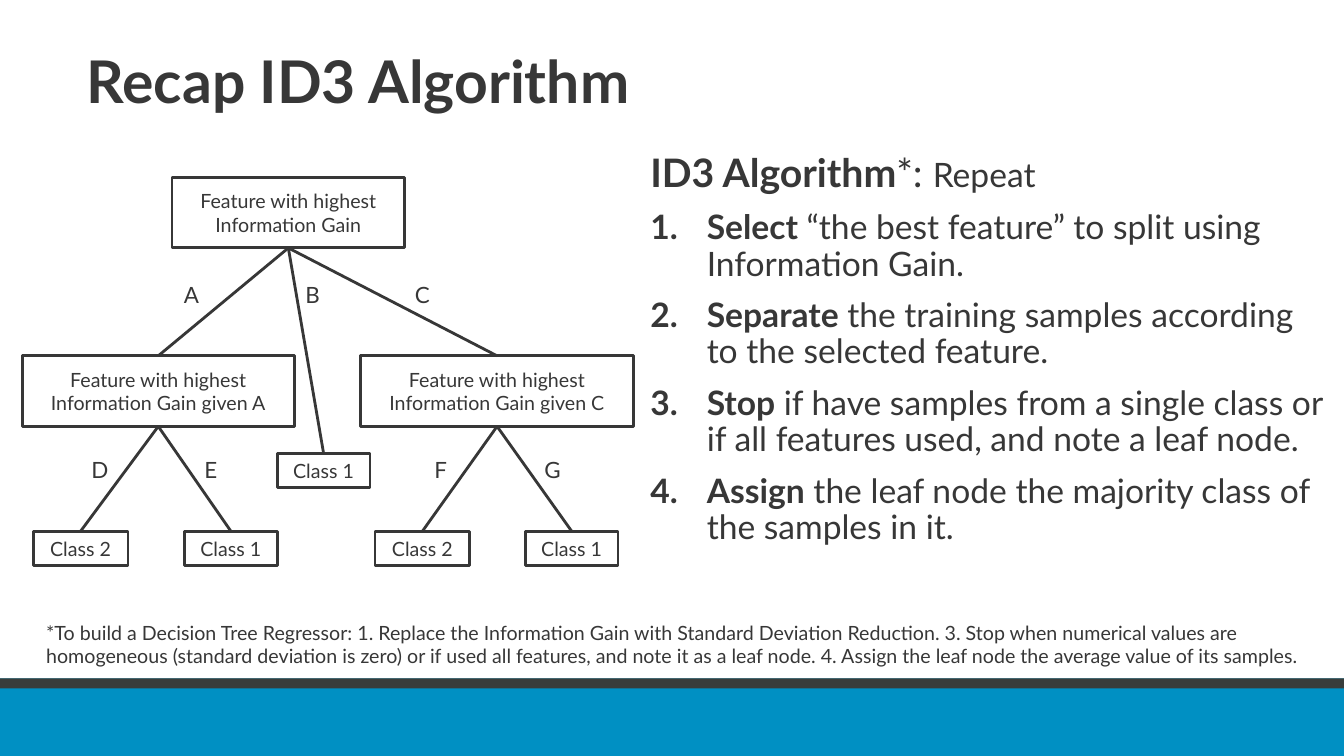
import pptx
import pptx.util
import pptx.dml.color
import pptx.enum.shapes
import pptx.enum.text
import pptx.oxml.ns
from lxml import etree

Inches = pptx.util.Inches
Pt = pptx.util.Pt
qn = pptx.oxml.ns.qn
ALIGN = pptx.enum.text.PP_ALIGN
ANCHOR = pptx.enum.text.MSO_ANCHOR
RECTANGLE = pptx.enum.shapes.MSO_SHAPE.RECTANGLE

COLORS = {"ink": "373737", "band": "0090C3", "stripe": "383D3B"}
FONT = "Lato"

# name: (text, centre, top, width, height), in inches from the tree's corner
NODES = {
    "root": ("Feature with highest Information Gain", 2.64, 0, 2.31, 0.7),
    "left": ("Feature with highest Information Gain given A", 1.35, 1.77, 2.7, 0.7),
    "right": ("Feature with highest Information Gain given C", 4.71, 1.77, 2.7, 0.7),
    "middle leaf": ("Class 1", 2.99, 2.74, 0.92, 0.34),
    "leaf D": ("Class 2", 0.58, 3.51, 0.94, 0.34),
    "leaf E": ("Class 1", 2.07, 3.51, 0.92, 0.34),
    "leaf F": ("Class 2", 3.97, 3.51, 0.94, 0.34),
    "leaf G": ("Class 1", 5.45, 3.51, 0.92, 0.34),
}
# parent, child, label, label centre, label top
BRANCHES = [
    ("root", "left", "A", 1.68, 0.98),
    ("root", "middle leaf", "B", 2.88, 0.98),
    ("root", "right", "C", 3.97, 0.98),
    ("left", "leaf D", "D", 0.77, 2.72),
    ("left", "leaf E", "E", 1.87, 2.72),
    ("right", "leaf F", "F", 4.15, 2.72),
    ("right", "leaf G", "G", 5.26, 2.72),
]
STEPS = [
    ("Select", " “the best feature” to split using Information Gain."),
    ("Separate", " the training samples according to the selected feature."),
    ("Stop", " if have samples from a single class or if all features used, "
             "and note a leaf node."),
    ("Assign", " the leaf node the majority class of the samples in it."),
]
FOOTNOTE = (
    "*To build a Decision Tree Regressor: 1. Replace the Information Gain with "
    "Standard Deviation Reduction. 3. Stop when numerical values are homogeneous "
    "(standard deviation is zero) or if used all features, and note it as a leaf "
    "node. 4. Assign the leaf node the average value of its samples."
)


def color(name):
    return pptx.dml.color.RGBColor.from_string(COLORS[name])


def add_span(para, text, size, bold=False):
    span = para.add_run()
    span.text = text
    span.font.name = FONT
    span.font.size = Pt(size)
    span.font.bold = bold
    span.font.color.rgb = color("ink")


def write(box, text, size, bold=False, align=ALIGN.LEFT, anchor=ANCHOR.TOP,
          line_spacing=1.0):
    frame = box.text_frame
    frame.word_wrap = True
    frame.auto_size = pptx.enum.text.MSO_AUTO_SIZE.NONE
    frame.vertical_anchor = anchor
    para = frame.paragraphs[0]
    para.alignment = align
    para.line_spacing = line_spacing
    add_span(para, text, size, bold)


def place(shape, left, top, width, height):
    shape.left, shape.top = Inches(left), Inches(top)
    shape.width, shape.height = Inches(width), Inches(height)


def add_rectangle(page, left, top, width, height, fill=None):
    """Add a filled rectangle, or an outlined one when no fill is given."""
    box = page.shapes.add_shape(RECTANGLE, Inches(left), Inches(top),
                                Inches(width), Inches(height))
    box.shadow.inherit = False
    if fill:
        box.fill.solid()
        box.fill.fore_color.rgb = color(fill)
        box.line.fill.background()
    else:
        box.fill.background()
        box.line.color.rgb = color("ink")
        box.line.width = Pt(2)
    return box


def add_text(page, left, top, width, height, text, size, **style):
    box = page.shapes.add_textbox(Inches(left), Inches(top),
                                  Inches(width), Inches(height))
    write(box, text, size, **style)


def join(page, parent, child):
    """Draw a line from the parent's bottom to the child's top."""
    line = page.shapes.add_connector(
        pptx.enum.shapes.MSO_CONNECTOR.STRAIGHT, 0, 0, 0, 0)
    line.begin_connect(parent, 2)
    line.end_connect(child, 0)
    line.line.color.rgb = color("ink")
    line.line.width = Pt(2)
    etree.SubElement(line._element.spPr, qn("a:effectLst"))


def add_footer_band(page, left, top, width, height):
    add_rectangle(page, left, top, width, height, fill="band")
    add_rectangle(page, left, top, width, 0.1, fill="stripe")


def add_title(page, left, top, width, height):
    title = page.shapes.title
    place(title, left, top, width, height)
    write(title, "Recap ID3 Algorithm", 42, bold=True, anchor=ANCHOR.MIDDLE,
          line_spacing=0.8)


def set_numbering(para, hanging):
    """Number the paragraph with a hanging indent, or clear its bullet at 0."""
    properties = para._p.get_or_add_pPr()
    properties.set("marL", str(Inches(hanging)))
    properties.set("indent", str(-Inches(hanging)))
    if hanging:
        etree.SubElement(properties, qn("a:buFont"), typeface="+mj-lt")
        etree.SubElement(properties, qn("a:buAutoNum"), type="arabicPeriod")
    else:
        etree.SubElement(properties, qn("a:buNone"))


def add_steps(page, left, top, width, height):
    body = page.placeholders[1]
    place(body, left, top, width, height)
    write(body, "ID3 Algorithm", 28, bold=True, line_spacing=0.9)
    heading = body.text_frame.paragraphs[0]
    heading.space_before = Pt(0)
    set_numbering(heading, 0)
    add_span(heading, "*: ", 28)
    add_span(heading, "Repeat", 24)
    for verb, rest in STEPS:
        para = body.text_frame.add_paragraph()
        para.line_spacing = 0.9
        para.space_before = Pt(10.9)
        set_numbering(para, 0.56)
        add_span(para, verb, 24, bold=True)
        add_span(para, rest, 24)


def add_tree(page, left, top):
    boxes = {}
    for name, (text, centre, offset, width, height) in NODES.items():
        boxes[name] = add_rectangle(page, left + centre - width / 2,
                                    top + offset, width, height)
        write(boxes[name], text, 14, align=ALIGN.CENTER, anchor=ANCHOR.MIDDLE)
    for parent, child, label, centre, offset in BRANCHES:
        join(page, boxes[parent], boxes[child])
        add_text(page, left + centre - 0.25, top + offset, 0.5, 0.37, label, 16,
                 align=ALIGN.CENTER)


def main():
    deck = pptx.Presentation()
    deck.slide_width, deck.slide_height = Inches(13.33), Inches(7.5)
    page = deck.slides.add_slide(deck.slide_layouts[1])
    add_footer_band(page, 0, 6.73, 13.33, 0.77)
    add_title(page, 0.76, 0.32, 12.15, 1.08)
    add_steps(page, 6.35, 1.47, 6.97, 4.46)
    add_tree(page, 0.22, 1.76)
    add_text(page, 0.36, 6.11, 12.97, 0.6, FOOTNOTE, 14)
    deck.save("out.pptx")


if __name__ == "__main__":
    main()
